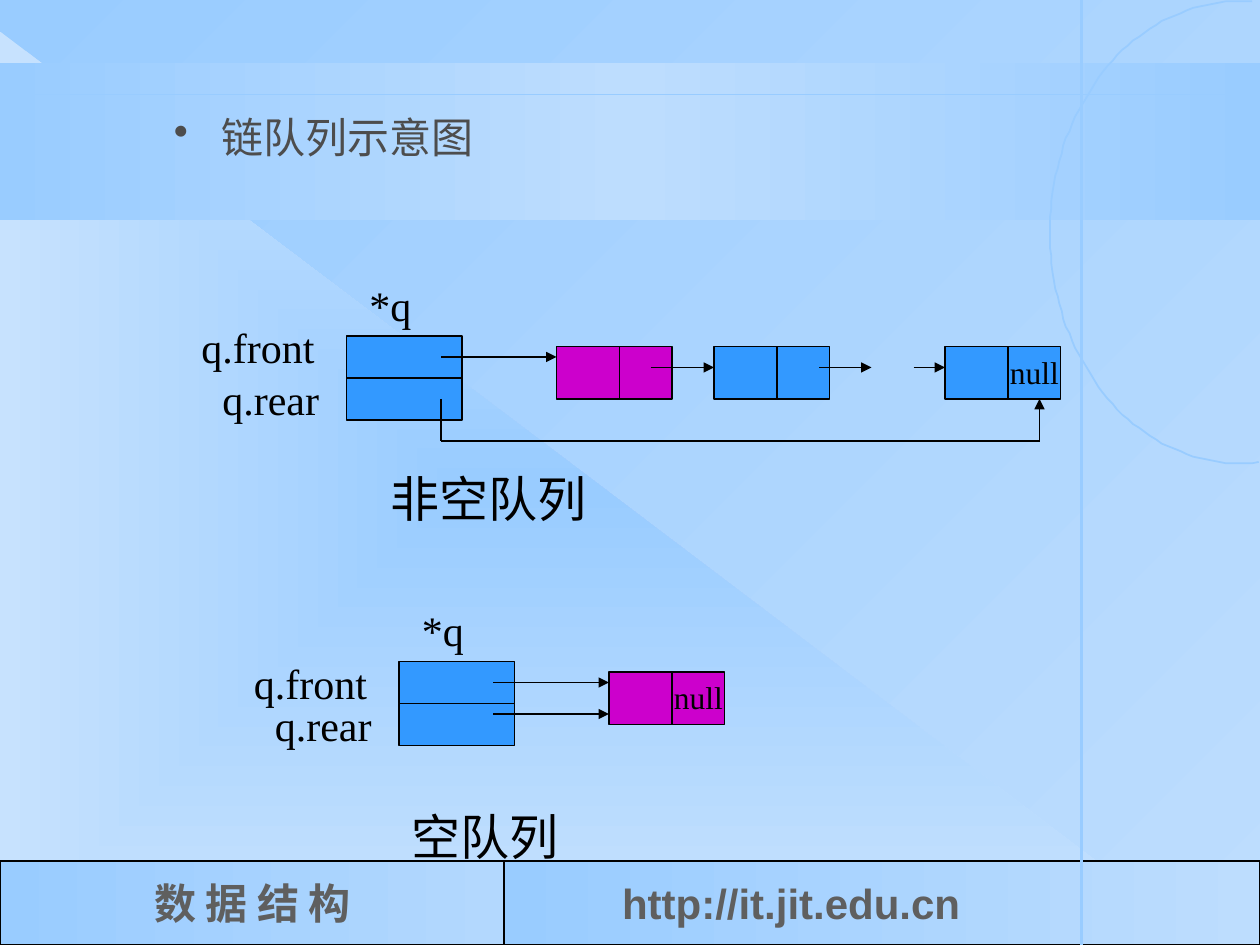
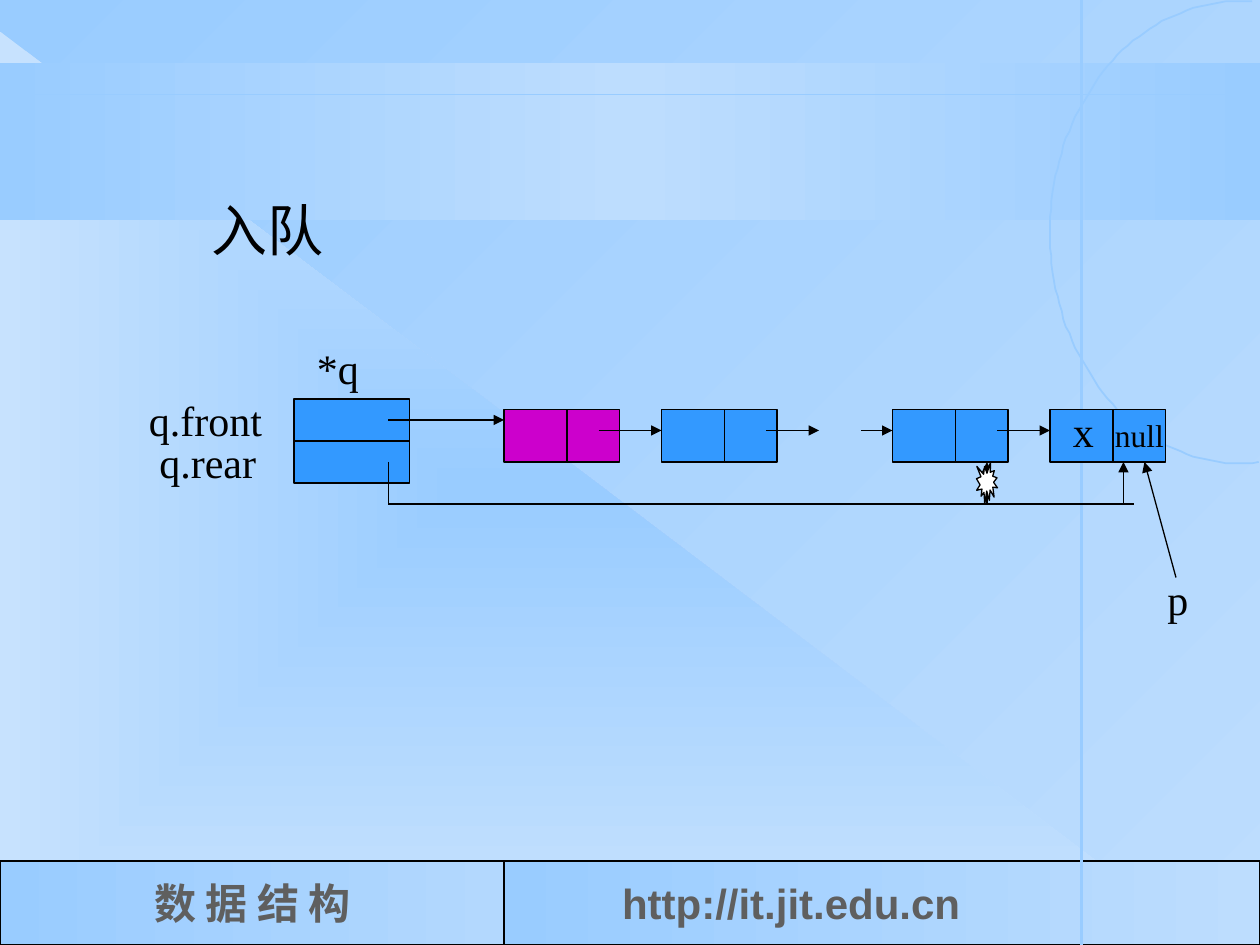
from math import cos, radians, sin

from lxml import etree
from pptx import Presentation, util as u
from pptx.dml.color import RGBColor
from pptx.enum import shapes as kinds, text
from pptx.oxml.ns import qn

PX = u.Inches(1) // 96
BLACK = RGBColor(0x00, 0x00, 0x00)
WHITE = RGBColor(0xFF, 0xFF, 0xFF)
SKY = RGBColor(0x99, 0xCC, 0xFF)
PALE = RGBColor(0xBD, 0xDD, 0xFE)
MIST = RGBColor(0xB3, 0xD8, 0xFE)
ICE = RGBColor(0xC7, 0xE2, 0xFE)
BLUE = RGBColor(0x33, 0x99, 0xFF)
MAGENTA = RGBColor(0xCC, 0x00, 0xCC)
HEADING = RGBColor(0x4D, 0x4D, 0x4D)
FOOTER = RGBColor(0x5F, 0x5F, 0x5F)
SERIF, SANS = "Times New Roman", "Arial"
FRAME = dict(margin_left=u.Inches(0.1), margin_right=u.Inches(0.1),
             margin_top=u.Inches(0.05), margin_bottom=u.Inches(0.05), word_wrap=True)
CELL_W, CELL_H = 88, 32
NODE_W, NODE_H, DATA_W = 88, 40, 48


def shade(element, colours, angle):
    """Spread colours evenly over a gradient; no angle means outward from the centre."""
    gradient = next(element.iter(qn("a:gradFill")))
    for child in list(gradient):
        gradient.remove(child)
    stops = etree.SubElement(gradient, qn("a:gsLst"))
    for i, colour in enumerate(colours):
        stop = etree.SubElement(stops, qn("a:gs"), pos=str(100000 * i // (len(colours) - 1)))
        etree.SubElement(stop, qn("a:srgbClr"), val=str(colour))
    if angle is None:
        centre = etree.SubElement(gradient, qn("a:path"), path="rect")
        etree.SubElement(centre, qn("a:fillToRect"), dict.fromkeys("ltrb", "50000"))
    else:
        etree.SubElement(gradient, qn("a:lin"), ang=str(angle * 60000), scaled="0")


def write(frame, words, size, colour=BLACK, name=SERIF, bold=False, **layout):
    for key, value in {**FRAME, **layout}.items():
        setattr(frame, key, value)
    paragraph = frame.paragraphs[0]
    run = paragraph.add_run()
    run.text = words
    for key, value in dict(size=u.Pt(size), name=name, bold=bold).items():
        setattr(run.font, key, value)
    run.font.color.rgb = colour
    return paragraph


# Shared backdrop: preset, left, top, width, height, colours, angle
RECT = kinds.MSO_SHAPE.RECTANGLE
BACKDROP = [
    (kinds.MSO_SHAPE.RIGHT_TRIANGLE, 0, 24, 920, 696, [SKY, ICE], None),
    (RECT, 0, 48, 960, 120, [SKY, PALE, SKY], 180),
]
# Footers: left, width, colours, angle, words, font, alignment, left inset
FOOTERS = [
    (0, 384, [MIST, SKY], 180, "数 据 结 构", SERIF, text.PP_ALIGN.CENTER, 10),
    (384, 576, [SKY, PALE], 0, "http://it.jit.edu.cn", SANS, text.PP_ALIGN.LEFT, 90),
]
# Rules: x1, y1, x2, y2, points
RULES = [(0, 72, 960, 72, 1), (824, 0, 824, 720, 1.5)]

# Queue diagrams: heads (x, y), nodes (x, y, colour), lines and arrows (x1, y1, x2, y2),
# labels (x, y, width, size, words)
LINKED_QUEUES = dict(
    heads=[(264, 256), (304, 504)],
    nodes=[(424, 264, MAGENTA), (544, 264, BLUE), (720, 264, BLUE), (464, 512, MAGENTA)],
    lines=[(336, 304, 336, 336), (336, 336, 792, 336)],
    arrows=[(336, 272, 424, 272), (496, 280, 544, 280), (624, 280, 664, 280),
            (696, 280, 720, 280), (792, 336, 792, 304),
            (376, 520, 464, 520), (376, 544, 464, 544)],
    bursts=[],
    labels=[(760, 264, 88, 18, "null"), (272, 208, 104, 24, "*q"),
            (144, 240, 128, 24, "q.front"), (160, 280, 128, 24, "q.rear"),
            (288, 352, 264, 28, "非空队列"),
            (184, 496, 128, 24, "q.front"), (200, 528, 128, 24, "q.rear"),
            (504, 512, 104, 18, "null"), (304, 610, 152, 28, "空队列"),
            (312, 456, 104, 24, "*q")],
    heading="链队列示意图",
)
ENQUEUE = dict(
    heads=[(224, 304)],
    nodes=[(384, 312, MAGENTA), (504, 312, BLUE), (680, 312, BLUE), (800, 312, BLUE)],
    lines=[(296, 352, 296, 384), (296, 384, 752, 384), (752, 384, 864, 384)],
    arrows=[(296, 320, 384, 320), (456, 328, 504, 328), (584, 328, 624, 328),
            (656, 328, 680, 328), (760, 328, 800, 328), (752, 384, 752, 352),
            (856, 384, 856, 352), (896, 440, 872, 352)],
    bursts=[(744, 352, 16, 32)],
    labels=[(232, 256, 104, 24, "*q"), (104, 296, 128, 24, "q.front"),
            (112, 328, 128, 24, "q.rear"), (152, 144, 112, 32, "入队"),
            (808, 304, 48, 24, "x"), (840, 312, 72, 18, "null"),
            (880, 432, 40, 24, "p")],
    heading=None,
)

prs = Presentation()
prs.slide_width, prs.slide_height = 960 * PX, 720 * PX

for diagram in (LINKED_QUEUES, ENQUEUE):
    slide = prs.slides.add_slide(prs.slide_layouts[6])
    parts = slide.shapes

    # Background, triangle and title band
    slide.background.fill.gradient()
    shade(slide.element, [PALE, SKY], 225)
    for preset, x, y, w, h, colours, angle in BACKDROP:
        panel = parts.add_shape(preset, x * PX, y * PX, w * PX, h * PX)
        panel.shadow.inherit = False
        panel.fill.gradient()
        shade(panel.element, colours, angle)
        panel.line.fill.background()

    # Footers
    for x, w, colours, angle, words, name, align, inset in FOOTERS:
        footer = parts.add_shape(RECT, x * PX, 656 * PX, w * PX, 64 * PX)
        footer.shadow.inherit = False
        footer.fill.gradient()
        shade(footer.element, colours, angle)
        footer.line.color.rgb, footer.line.width = BLACK, u.Pt(1.5)
        write(footer.text_frame, words, 24, FOOTER, name, True, margin_left=inset * PX,
              vertical_anchor=text.MSO_ANCHOR.MIDDLE).alignment = align

    # Large arc at the right edge
    curve = [(944 - 144 * cos(radians(a)), 177 + 176 * sin(radians(a)))
             for a in range(-94, 97, 2)]
    builder = parts.build_freeform(*curve[0], scale=PX)
    builder.add_line_segments(curve[1:], close=False)
    arc = builder.convert_to_shape()
    arc.shadow.inherit = False
    arc.fill.background()
    arc.line.color.rgb, arc.line.width = SKY, u.Pt(1)

    # Queue heads, nodes and bursts
    boxes = [(RECT, x, y + row * CELL_H, CELL_W, CELL_H, BLUE)
             for x, y in diagram["heads"] for row in range(2)]
    boxes += [(RECT, x, y, NODE_W, NODE_H, colour) for x, y, colour in diagram["nodes"]]
    bursts = [(kinds.MSO_SHAPE.EXPLOSION1, *place, WHITE) for place in diagram["bursts"]]

    # Rules, node dividers, lines and arrows
    strokes = [(*rule, SKY, False) for rule in RULES]
    strokes += [(x + DATA_W, y, x + DATA_W, y + NODE_H, 0.75, BLACK, False)
                for x, y, _ in diagram["nodes"]]
    strokes += [(*ends, 0.75, BLACK, False) for ends in diagram["lines"]]
    strokes += [(*ends, 0.75, BLACK, True) for ends in diagram["arrows"]]

    # Draw rules first, then boxes, then the other strokes, then bursts
    rules, links = strokes[:len(RULES)], strokes[len(RULES):]
    for stroke_group, box_group in ((rules, boxes), (links, bursts)):
        for x1, y1, x2, y2, points, colour, arrow in stroke_group:
            link = parts.add_connector(kinds.MSO_CONNECTOR.STRAIGHT,
                                       x1 * PX, y1 * PX, x2 * PX, y2 * PX)
            link.line.color.rgb, link.line.width = colour, u.Pt(points)
            if arrow:
                etree.SubElement(link.line._get_or_add_ln(), qn("a:tailEnd"), type="triangle")
            etree.SubElement(link.element.spPr, qn("a:effectLst"))
        for preset, x, y, w, h, colour in box_group:
            box = parts.add_shape(preset, x * PX, y * PX, w * PX, h * PX)
            box.shadow.inherit = False
            box.fill.solid()
            box.fill.fore_color.rgb = colour
            box.line.color.rgb, box.line.width = BLACK, u.Pt(0.75)

    # Labels
    for x, y, w, size, words in diagram["labels"]:
        label = parts.add_textbox(x * PX, y * PX, w * PX, 2 * size * PX)
        write(label.text_frame, words, size)

    # Bulleted heading
    if diagram["heading"]:
        heading = parts.add_textbox(123 * PX, 80 * PX, 660 * PX, 64 * PX)
        paragraph = write(heading.text_frame, diagram["heading"], 24, HEADING)
        bullet = paragraph._p.get_or_add_pPr()
        bullet.set("marL", str(36 * PX))
        bullet.set("indent", str(-36 * PX))
        tint = etree.SubElement(bullet, qn("a:buClr"))
        etree.SubElement(tint, qn("a:srgbClr"), val=str(HEADING))
        etree.SubElement(bullet, qn("a:buChar"), char="•")

prs.save("out.pptx")
